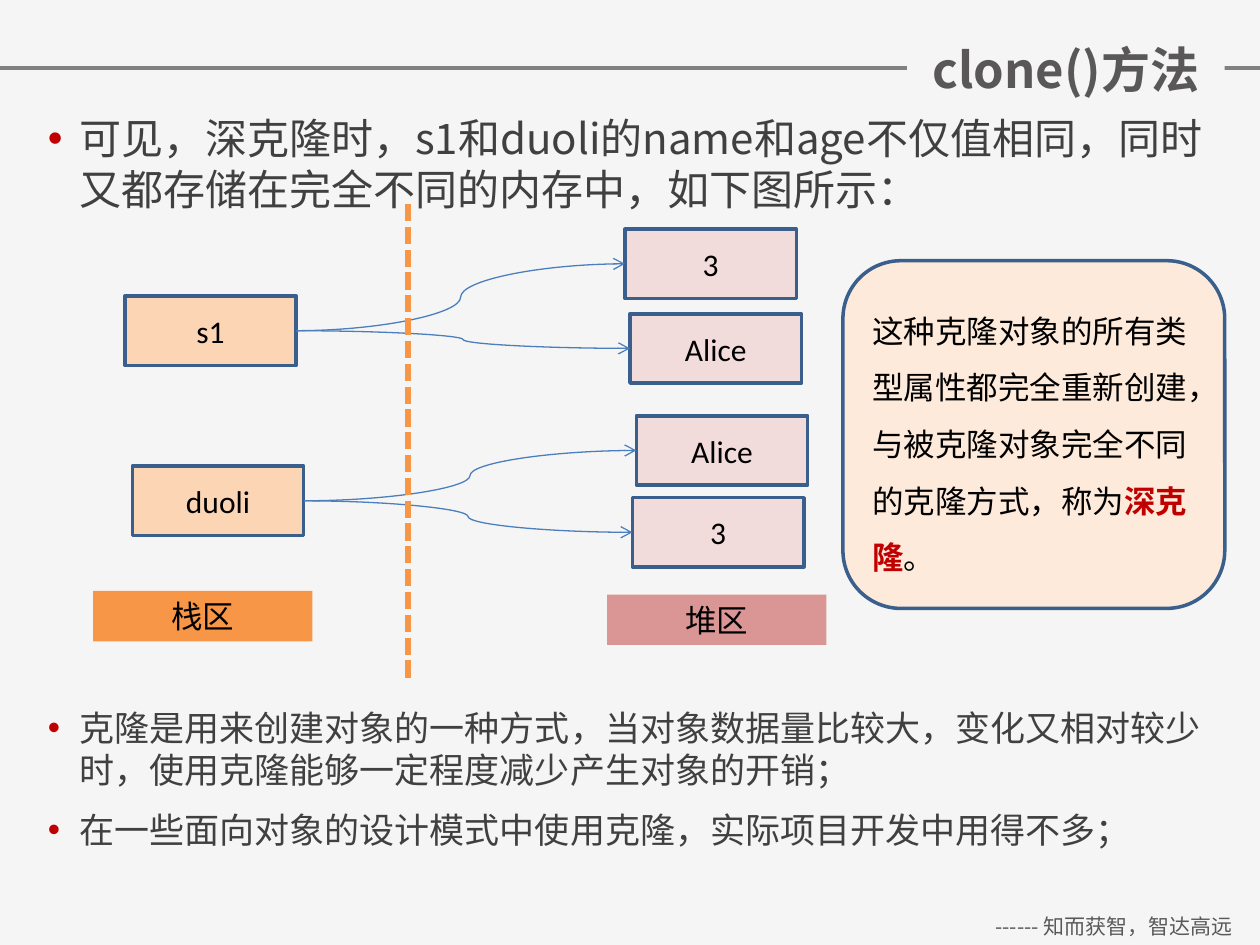
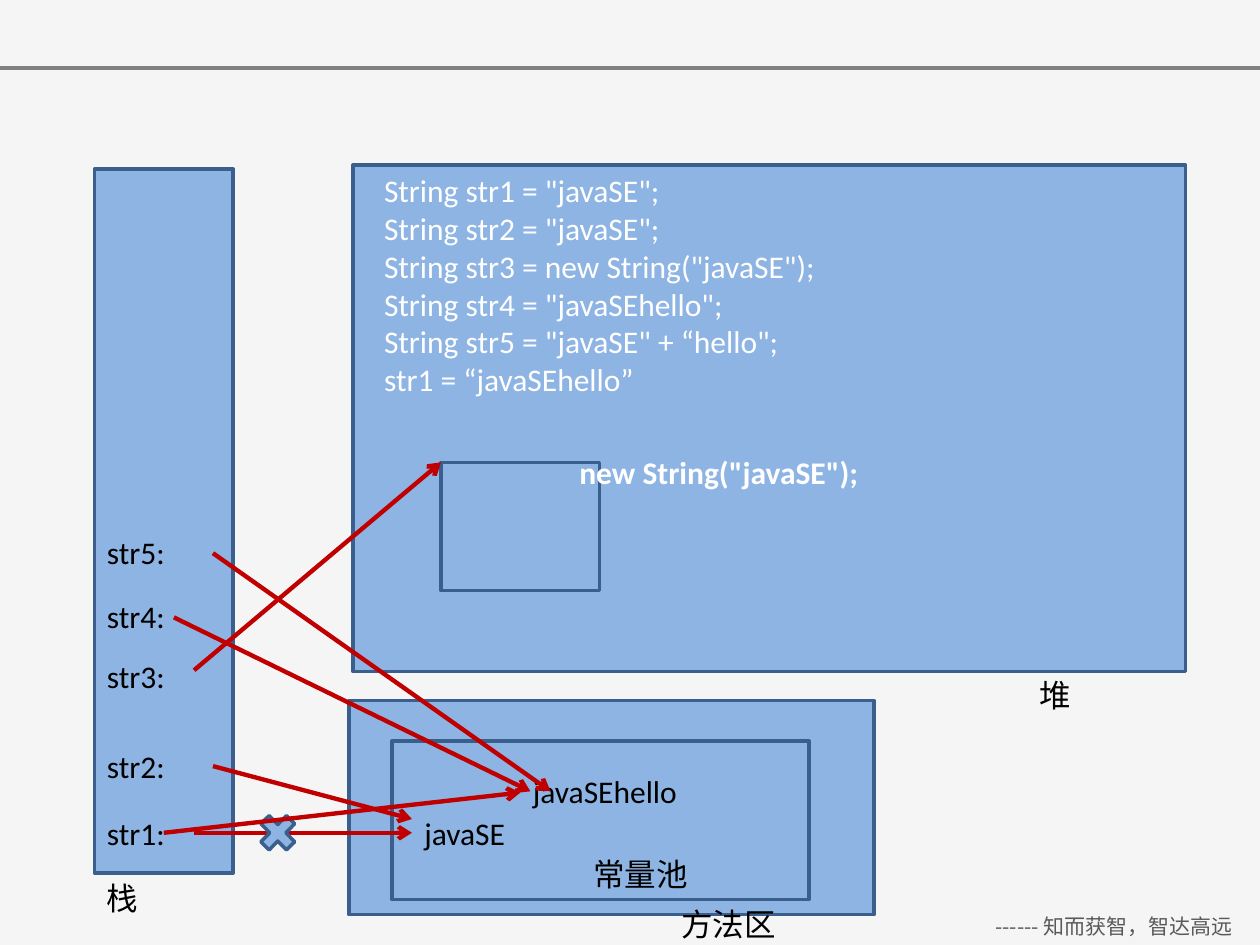
from pptx import Presentation
from pptx.dml.color import RGBColor
from pptx.enum.dml import MSO_LINE
from pptx.enum.shapes import MSO_CONNECTOR, MSO_SHAPE
from pptx.enum.text import MSO_ANCHOR, MSO_AUTO_SIZE, PP_ALIGN
from pptx.oxml.ns import qn
from pptx.util import Pt
from lxml.etree import SubElement

# Shared style
SANS, LATIN = "Noto Sans CJK SC", "Calibri"
PAPER, RULE, BLACK, WHITE, RED = "F5F5F5", "808080", "000000", "FFFFFF", "C00000"
TITLE_GREY, BODY_GREY, FOOTER_GREY = "595758", "404040", "595959"
OUTLINE, CURVE_BLUE, MEMORY_BLUE = "3A5F8C", "4B7EBC", "8EB4E3"
PEACH, PINK, ORANGE, ROSE, CREAM = "FCD5B5", "F2DCDB", "F79646", "D99694", "FDEADA"
FOOTER = "------ 知而获智，智达高远"
LABEL_HEIGHT = 28.8

# Slide 1: deep clone
CLONE_TITLE = "clone()方法"
INTRO = ["可见，深克隆时，s1和duoli的name和age不仅值相同，同时又都存储在完全不同的内存中，如下图所示："]
SUMMARY = [
    "克隆是用来创建对象的一种方式，当对象数据量比较大，变化又相对较少时，使用克隆能够一定程度减少产生对象的开销；",
    "在一些面向对象的设计模式中使用克隆，实际项目开发中用得不多；",
]
BOX_SIZE = (98, 39.6)
# variable, its corner, and the heap values it refers to
REFERENCES = [
    ("s1", (71.3, 169.2), [("3", (357.1, 131)), ("Alice", (360, 179.3))]),
    ("duoli", (75.6, 266.4), [("Alice", (363.6, 237.6)), ("3", (361.4, 284.4))]),
]
AREAS = [("栈区", (53.3, 337.7), ORANGE), ("堆区", (347, 339.8), ROSE)]
NOTE = [
    ("这种克隆对象的所有类型属性都完全重新创建，与被克隆对象完全不同的克隆方式，称为", False),
    ("深克隆", True),
    ("。", False),
]

# Slide 2: string memory
REGIONS = [
    (54, 96.5, 79.2, 402.5),       # stack
    (201.6, 94.3, 475.9, 289.4),   # heap
    (199.4, 400.3, 300.2, 122.4),  # method area
    (223.9, 423.4, 238.3, 90.7),   # constant pool
    (252, 264.2, 90.7, 73.4),      # new object
]
LABELS = [
    ("栈", 54, 499, 90.7),
    ("堆", 586.8, 383, 51.1),
    ("方法区", 382.3, 513.4, 117.4),
    ("常量池", 331.9, 485.3, 85),
    ("javaSE", 235.4, 461.5, 108),
    ("javaSEhello", 297.4, 437.8, 153.4),
]
VARIABLE_TOPS = [461.5, 423.4, 372.2, 337.7, 301]
CODE = [
    'String str1 = "javaSE";',
    'String str2 = "javaSE";',
    'String str3 = new String("javaSE");',
    'String str4 = "javaSEhello";',
    'String str5 = "javaSE" + “hello";',
    "str1 = “javaSEhello”",
]
NEW_OBJECT = 'new String("javaSE");'
OLD_STR1_ARROW = (110.9, 475.9, 235.4, 475.9)
CROSS = (144.7, 461.5, 28.1, 28.8)
ARROWS = [
    (121.7, 437.8, 235.4, 468),
    (110.9, 383, 252, 264.2),
    (99.4, 352.8, 303.1, 452.2),
    (121.7, 316.1, 314.6, 452.2),
    (93.6, 475.9, 297.4, 452.9),
]


def colour(value):
    return RGBColor.from_string(value)


def points(values):
    return [Pt(value) for value in values]


def format_span(span, size, ink, font=LATIN, bold=False):
    span.font.size = Pt(size)
    span.font.bold = bold
    span.font.name = font
    span.font.color.rgb = colour(ink)
    SubElement(span.font._element, qn("a:ea")).set("typeface", font)


def write(shape, lines, size=18, ink=BLACK, font=LATIN, bold=False,
          align=PP_ALIGN.LEFT, anchor=MSO_ANCHOR.TOP, wrap=True):
    frame = shape.text_frame
    frame.text = "\n".join(lines)
    frame.word_wrap = wrap
    frame.auto_size = MSO_AUTO_SIZE.NONE
    frame.vertical_anchor = anchor
    for para in frame.paragraphs:
        para.alignment = align
        for span in para.runs:
            format_span(span, size, ink, font, bold)


def add_text(page, lines, place, **style):
    box = page.shapes.add_textbox(*points(place))
    write(box, lines, **style)
    return box


def add_block(page, place, fill, outline=OUTLINE, kind=MSO_SHAPE.RECTANGLE):
    block = page.shapes.add_shape(kind, *points(place))
    block.shadow.inherit = False
    block.fill.solid()
    block.fill.fore_color.rgb = colour(fill)
    if outline:
        block.line.color.rgb = colour(outline)
        block.line.width = Pt(2)
    else:
        block.line.fill.background()
    return block


def add_line(page, ends, ink, width, arrow=False, kind=MSO_CONNECTOR.STRAIGHT):
    line = page.shapes.add_connector(kind, *points(ends))
    line.line.color.rgb = colour(ink)
    line.line.width = Pt(width)
    if arrow:
        SubElement(line.line._get_or_add_ln(), qn("a:tailEnd")).set("type", "arrow")
    SubElement(line.element.spPr, qn("a:effectLst"))
    return line


def add_bullets(page, lines, place, size):
    box = add_text(page, lines, place, size=size, ink=BODY_GREY, font=SANS)
    for index, para in enumerate(box.text_frame.paragraphs):
        para.line_spacing = Pt(round(size * 1.21))
        if index:
            para.space_before = Pt(10)
        properties = para._p.get_or_add_pPr()
        properties.set("marL", str(Pt(18)))
        properties.set("indent", str(-Pt(18)))
        bullet_colour = SubElement(properties, qn("a:buClr"))
        SubElement(bullet_colour, qn("a:srgbClr")).set("val", RED)
        SubElement(properties, qn("a:buFont")).set("typeface", "Arial")
        SubElement(properties, qn("a:buChar")).set("char", "•")


def build_master(deck, page):
    """Draw the rule and footer on a page, then move them to the master."""
    master = deck.slide_master
    master.background.fill.solid()
    master.background.fill.fore_color.rgb = colour(PAPER)
    rule = add_line(page, (0, 38.9, 720, 38.9), RULE, 2)
    footer = add_text(page, [FOOTER], (553, 518.4, 167, 21.6), size=12,
                      ink=FOOTER_GREY, font=SANS, align=PP_ALIGN.CENTER)
    for number, part in enumerate((rule, footer), start=101):
        part.element.xpath(".//p:cNvPr")[0].set("id", str(number))
        master.shapes.element.append(part.element)


def build_clone_page(page):
    # Title covers the rule behind it
    title = page.shapes.title
    title.left, title.top, title.width, title.height = points((518.4, 18.7, 181.4, 41))
    title.fill.solid()
    title.fill.fore_color.rgb = colour(PAPER)
    centred = dict(align=PP_ALIGN.CENTER, anchor=MSO_ANCHOR.MIDDLE)
    write(title, [CLONE_TITLE], size=28, ink=TITLE_GREY, font=SANS, bold=True, **centred)
    add_bullets(page, INTRO, (20.2, 60.5, 680.4, 71.3), 24)

    # Variables, heap values and the curves between them
    for name, corner, values in REFERENCES:
        variable = add_block(page, corner + BOX_SIZE, PEACH)
        write(variable, [name], **centred)
        for value, value_corner in values:
            target = add_block(page, value_corner + BOX_SIZE, PINK)
            write(target, [value], **centred)
            curve = add_line(page, corner + value_corner, CURVE_BLUE, 0.75, True,
                             MSO_CONNECTOR.CURVE)
            curve.begin_connect(variable, 3)
            curve.end_connect(target, 1)

    # Area names and divider
    for name, corner, fill in AREAS:
        area = add_block(page, corner + (125.3, LABEL_HEIGHT), fill, None)
        write(area, [name], align=PP_ALIGN.CENTER)
    divider = add_line(page, (233.3, 116.6, 233.3, 390.2), ORANGE, 3.25)
    divider.line.dash_style = MSO_LINE.SQUARE_DOT

    # Explanation
    note = add_block(page, (481.7, 149, 218.2, 198.7), CREAM,
                     kind=MSO_SHAPE.ROUNDED_RECTANGLE)
    write(note, [""], anchor=MSO_ANCHOR.MIDDLE)
    para = note.text_frame.paragraphs[0]
    para.line_spacing = 1.5
    for words, strong in NOTE:
        span = para.add_run()
        span.text = words
        format_span(span, 18, RED if strong else BLACK, bold=strong)
    add_bullets(page, SUMMARY, (20.2, 400.3, 680.4, 118.8), 20)


def build_memory_page(page):
    # Memory regions and their names
    for place in REGIONS:
        add_block(page, place, MEMORY_BLUE)
    for words, left, top, width in LABELS:
        add_text(page, [words], (left, top, width, LABEL_HEIGHT))
    for number, top in enumerate(VARIABLE_TOPS, start=1):
        add_text(page, [f"str{number}:"], (54, top, 79.2, LABEL_HEIGHT))

    # Code
    add_text(page, CODE, (212.4, 94.3, 360, 138.2), ink=WHITE)
    add_text(page, [NEW_OBJECT], (324, 255.6, 175.7, LABEL_HEIGHT), ink=WHITE,
             bold=True, wrap=False)

    # References, the first one crossed out
    add_line(page, OLD_STR1_ARROW, RED, 2.5, True)
    add_block(page, CROSS, MEMORY_BLUE, kind=MSO_SHAPE.MATH_MULTIPLY)
    for ends in ARROWS:
        add_line(page, ends, RED, 2.5, True)


def main():
    deck = Presentation()
    deck.slide_width, deck.slide_height = Pt(720), Pt(540)
    clone_page = deck.slides.add_slide(deck.slide_layouts[5])
    memory_page = deck.slides.add_slide(deck.slide_layouts[6])
    build_master(deck, clone_page)
    build_clone_page(clone_page)
    build_memory_page(memory_page)
    deck.save("out.pptx")


if __name__ == "__main__":
    main()
